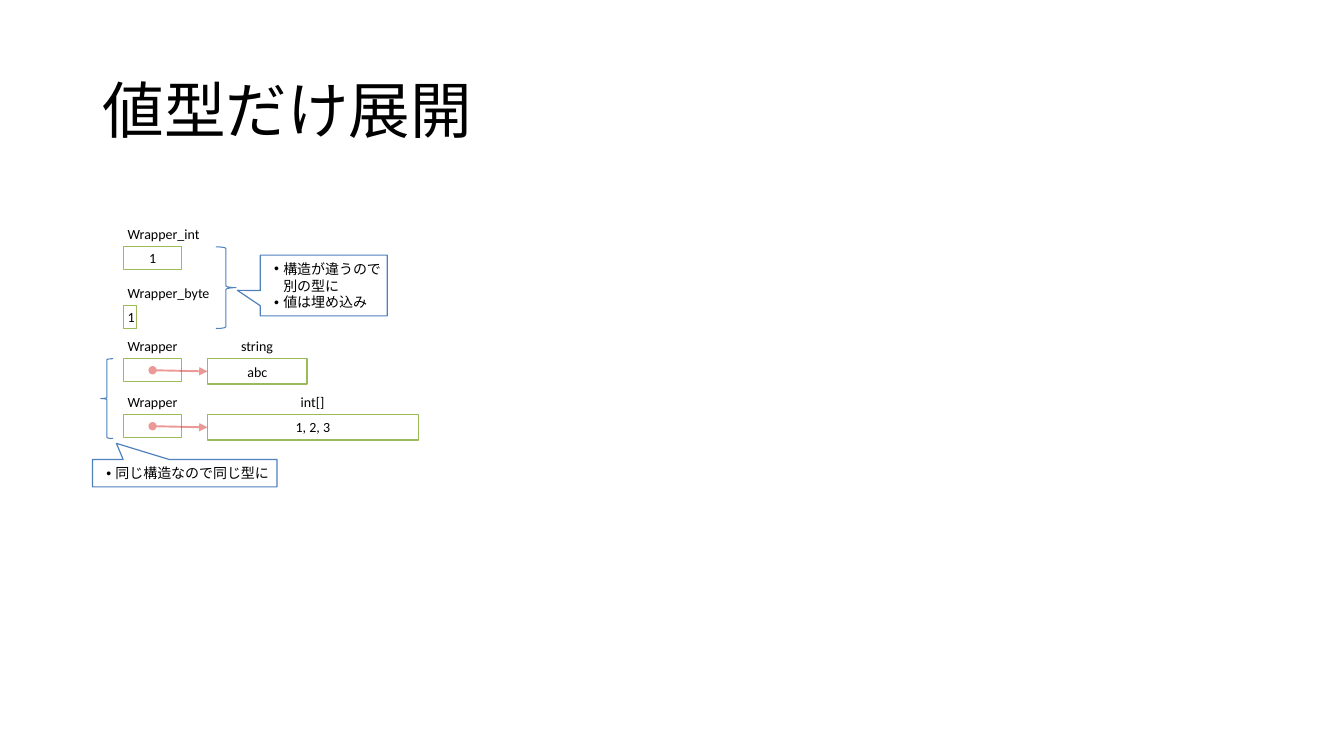
from lxml.etree import SubElement as Sub
from pptx import Presentation
from pptx.dml.color import RGBColor
from pptx.enum.shapes import MSO_CONNECTOR as Conn, MSO_SHAPE as Shp
from pptx.enum.text import MSO_ANCHOR as Anchor, MSO_AUTO_SIZE as Auto, PP_ALIGN as Align
from pptx.oxml.ns import qn
from pptx.util import Cm, Pt

BLACK = RGBColor(0x00, 0x00, 0x00)
WHITE = RGBColor(0xFF, 0xFF, 0xFF)
GREEN = RGBColor(0x9B, 0xBB, 0x59)
BLUE = RGBColor(0x4F, 0x81, 0xBD)
RED = RGBColor(0xD8, 0x34, 0x2F)

LEFT, HEAP = 3.12, 5.23     # left edges of the two columns of boxes
CELL, LOW, TALL = 1.45, 0.58, 0.64
LIFT = 0.63                 # from a box's top up to its label's top
PAD = Cm(0.1)
FRAME = dict(margin_left=PAD, margin_right=PAD, margin_top=PAD,
             margin_bottom=PAD)


def apply(target, **values):
    for name, value in values.items():
        setattr(target, name, value)


def style(para, size=10, align=Align.LEFT):
    para.alignment = align
    apply(para.font, name="Calibri", size=Pt(size))
    para.font.color.rgb = BLACK


def add_form(slide, kind, area, color, width=0.85, fill=WHITE):
    """Add a preset shape with a thin outline; fill=None leaves it open."""
    form = slide.shapes.add_shape(kind, *map(Cm, area))
    form.shadow.inherit = False
    form.line.color.rgb = color
    form.line.width = Pt(width)
    if fill is None:
        form.fill.background()
    else:
        form.fill.solid()
        form.fill.fore_color.rgb = fill
    apply(form.text_frame, vertical_anchor=Anchor.MIDDLE, word_wrap=True, **FRAME)
    return form


def add_box(slide, area, text=""):
    box = add_form(slide, Shp.RECTANGLE, area, GREEN)
    if text:
        para = box.text_frame.paragraphs[0]
        para.text = text
        style(para, align=Align.CENTER)
    return box


def add_label(slide, mid, top, width, text):
    """Add a one-line type name centred on mid, above a box at top."""
    area = mid - width / 2, top - LIFT, width, TALL
    frame = slide.shapes.add_textbox(*map(Cm, area)).text_frame
    apply(frame, word_wrap=False, auto_size=Auto.SHAPE_TO_FIT_TEXT, **FRAME)
    frame.text = text
    style(frame.paragraphs[0])


def add_note(slide, area, tip, lines):
    """Add a callout with a bulleted line for each text."""
    note = add_form(slide, Shp.RECTANGULAR_CALLOUT, area, BLUE)
    for i, value in enumerate(tip):
        note.adjustments[i] = value
    frame = note.text_frame
    frame.text = "\n".join(lines)
    for para in frame.paragraphs:
        style(para)
        props = para._p.get_or_add_pPr()
        props.set("marL", str(Cm(0.48)))
        props.set("indent", str(Cm(-0.23)))
        Sub(props, qn("a:buFont"), typeface="Arial")
        Sub(props, qn("a:buChar"), char="•")


def add_arrow(slide, x, y, box):
    """Point from the inside of a cell to the left side of a box."""
    arrow = slide.shapes.add_connector(Conn.STRAIGHT, Cm(x), Cm(y), box.left,
                                       box.top + box.height // 2)
    arrow.end_connect(box, 1)
    arrow.line.color.rgb = RED
    arrow.line.width = Pt(1.35)
    line = arrow.line._get_or_add_ln()
    Sub(line.find(".//" + qn("a:srgbClr")), qn("a:alpha"), val="50000")
    Sub(line, qn("a:headEnd"), type="oval")
    Sub(line, qn("a:tailEnd"), type="triangle")
    Sub(arrow._element.spPr, qn("a:effectLst"))


def add_value(slide, top, width, name, span):
    """Add a wrapper that holds its value in place."""
    add_box(slide, (LEFT, top, width, LOW), "1")
    add_label(slide, LEFT + span / 2, top, span, name)


def add_ref(slide, top, width, name, span, text):
    """Add a wrapper that points to a value on the heap."""
    add_box(slide, (LEFT, top, CELL, LOW))
    add_label(slide, LEFT + 0.75, top, 1.5, "Wrapper")
    box = add_box(slide, (HEAP, top, width, TALL), text)
    add_label(slide, HEAP + width / 2, top, span, name)
    add_arrow(slide, LEFT + CELL / 2, top + LOW / 2, box)


def add_title(slide, text):
    title = slide.shapes.title
    apply(title, left=Cm(2.33), top=Cm(1.02), width=Cm(29.21), height=Cm(3.68))
    title.text_frame.vertical_anchor = Anchor.MIDDLE
    title.text_frame.text = text
    para = title.text_frame.paragraphs[0]
    style(para, 44)
    para.line_spacing = 0.9


def main():
    deck = Presentation()
    apply(deck, slide_width=Cm(33.87), slide_height=Cm(19.05))
    slide = deck.slides.add_slide(deck.slide_layouts[5])
    add_title(slide, "値型だけ展開")

    add_value(slide, 6.22, CELL, "Wrapper_int", 2.06)
    add_value(slide, 7.7, 0.33, "Wrapper_byte", 2.31)
    add_ref(slide, 9.04, 2.51, "string", 1.02, "abc")
    add_ref(slide, 10.45, 5.31, "int[]", 0.81, "1, 2, 3")

    for kind, area in ((Shp.RIGHT_BRACE, (5.44, 6.22, 0.51, 2.06)),
                       (Shp.LEFT_BRACE, (2.54, 9.04, 0.31, 2.01))):
        add_form(slide, kind, area, BLUE, 0.75, None)
    add_note(slide, (6.56, 6.43, 3.2, 1.53), (-0.68, 0.08),
             ["構造が違うので別の型に", "値は埋め込み"])
    add_note(slide, (2.33, 11.58, 4.65, 0.69), (-0.37, -1.09),
             ["同じ構造なので同じ型に"])
    deck.save("out.pptx")


if __name__ == "__main__":
    main()
